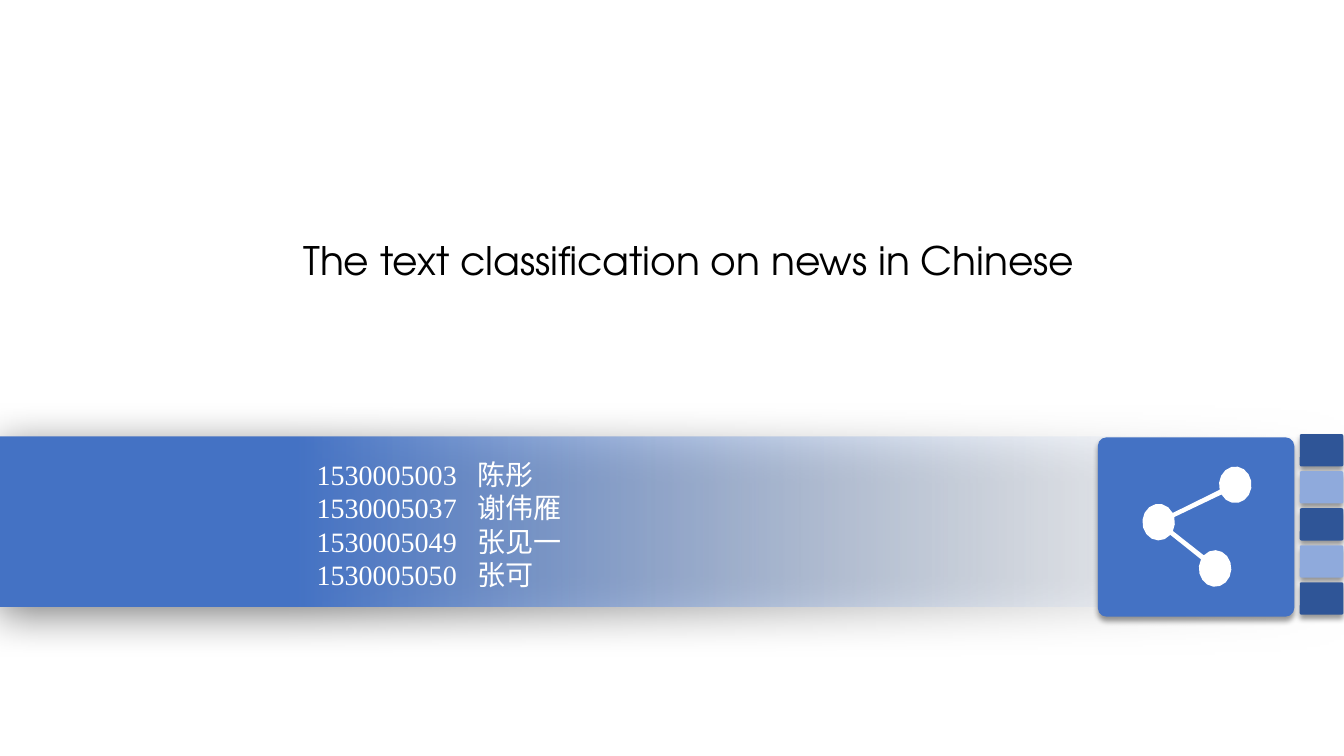
from math import ceil, cos, radians, sin

from lxml.etree import SubElement
from pptx import Presentation
from pptx.dml.color import RGBColor
from pptx.enum.shapes import MSO_SHAPE
from pptx.enum.text import MSO_ANCHOR, MSO_AUTO_SIZE, PP_ALIGN
from pptx.oxml.ns import qn
from pptx.util import Inches, Pt

COLORS = {
    "blue": "4472C4",
    "navy": "2F5597",
    "sky": "8FAADC",
    "mist": "F7FAFD",
    "white": "FFFFFF",
    "black": "000000",
}
COLUMNS, ROWS = 100, 100
SOFT_SHADOW = {"opacity": 50, "blur": 31, "distance": 6, "angle": 97}
TILE_SHADOW = {"opacity": 40, "blur": 4, "distance": 3, "angle": 90}
WIDE_GAP = 10
AUTHORS = [
    ("1530005003", "陈彤"),
    ("1530005037", "谢伟雁"),
    ("1530005049", "张见一"),
    ("1530005050", "张可"),
]
TOP_NODE, HUB_NODE, LOW_NODE = (91.91, 64.13), (86.21, 69.07), (90.41, 75.2)
ICON_ARCS = [
    (TOP_NODE, 164, 508),
    (HUB_NODE, -16, 29),
    (LOW_NODE, 226, 570),
    (HUB_NODE, 44, 330),
]
ARC_STEP = 24


def color(name):
    return RGBColor.from_string(COLORS[name])


def arc_angles(start, end):
    steps = ceil((end - start) / ARC_STEP)
    return [start + (end - start) * step / steps for step in range(steps + 1)]


class CoverSlide:
    def __init__(self, deck):
        self.column = deck.slide_width / COLUMNS
        self.row = deck.slide_height / ROWS
        self.slide = deck.slides.add_slide(deck.slide_layouts[0])

    def box(self, left, top, width, height):
        return (int(left * self.column), int(top * self.row),
                int(width * self.column), int(height * self.row))

    def shadow(self, shape, opacity, blur, distance, angle):
        effects = shape.element.spPr.find(qn("a:effectLst"))
        outer = SubElement(effects, qn("a:outerShdw"), blurRad=str(Pt(blur)),
                           dist=str(Pt(distance)), dir=str(angle * 60000),
                           algn="ctr", rotWithShape="0")
        shade = SubElement(outer, qn("a:srgbClr"), val=COLORS["black"])
        SubElement(shade, qn("a:alpha"), val=str(opacity * 1000))

    def plain(self, shape, fill):
        shape.shadow.inherit = False
        shape.line.fill.background()
        shape.fill.solid()
        shape.fill.fore_color.rgb = color(fill)

    def band(self, place):
        band = self.slide.shapes.add_shape(MSO_SHAPE.RECTANGLE, *self.box(*place))
        self.plain(band, "blue")
        band.fill.gradient()
        band.fill.gradient_angle = 180
        stops = zip(band.fill.gradient_stops, ("mist", "blue"), (0, 0.78))
        for stop, name, position in stops:
            stop.color.rgb = color(name)
            stop.position = position
        clear_end = next(band.element.iter(qn("a:gs")))
        SubElement(clear_end[0], qn("a:alpha"), val="0")
        self.shadow(band, **SOFT_SHADOW)

    def tile(self, place, fill):
        tile = self.slide.shapes.add_shape(
            MSO_SHAPE.ROUNDED_RECTANGLE, *self.box(*place))
        tile.adjustments[0] = 0.05
        self.plain(tile, fill)
        self.shadow(tile, **TILE_SHADOW)

    def text(self, holder, place, lines, size, font, ink):
        holder.left, holder.top, holder.width, holder.height = self.box(*place)
        tree = holder.element.getparent()
        tree.append(holder.element)
        frame = holder.text_frame
        frame.word_wrap = True
        frame.auto_size = MSO_AUTO_SIZE.NONE
        frame.vertical_anchor = MSO_ANCHOR.TOP
        for index, pieces in enumerate(lines):
            line = frame.add_paragraph() if index else frame.paragraphs[0]
            line.alignment = PP_ALIGN.LEFT
            line.space_before = Pt(0)
            for piece, spacing in pieces:
                run = line.add_run()
                run.text = piece
                run.font.size = Pt(size)
                run.font.name = font
                run.font.color.rgb = color(ink)
                if spacing:
                    run.font._element.set("spc", str(spacing * 100))

    def share_icon(self, arcs, radius_x, radius_y):
        outline = [
            (int((x + radius_x * cos(radians(angle))) * self.column),
             int((y + radius_y * sin(radians(angle))) * self.row))
            for (x, y), start, end in arcs
            for angle in arc_angles(start, end)
        ]
        builder = self.slide.shapes.build_freeform(*outline[0])
        builder.add_line_segments(outline[1:], close=True)
        self.plain(builder.convert_to_shape(), "white")


def main():
    deck = Presentation()
    deck.slide_width, deck.slide_height = Inches(13.33), Inches(7.5)
    cover = CoverSlide(deck)
    title, authors = cover.slide.placeholders

    cover.band((0, 57.76, 100, 22.45))
    for index in range(5):
        cover.tile((96.71, 57.43 + 4.9 * index, 3.24, 4.27),
                   "sky" if index % 2 else "navy")
    cover.text(title, (21.83, 30.53, 59.85, 7.6),
               [[("The text classification on news in Chinese", 0)]],
               28, "TeX Gyre Adventor", "black")
    cover.text(authors, (22.8, 59.8, 51, 23.73),
               [[(number, 0), (" ", WIDE_GAP), (name, 0)]
                for number, name in AUTHORS],
               20, "Times New Roman", "white")
    cover.tile((81.68, 57.84, 14.63, 23.73), "blue")
    cover.share_icon(ICON_ARCS, 1.21, 2.42)
    deck.save("out.pptx")


if __name__ == "__main__":
    main()
